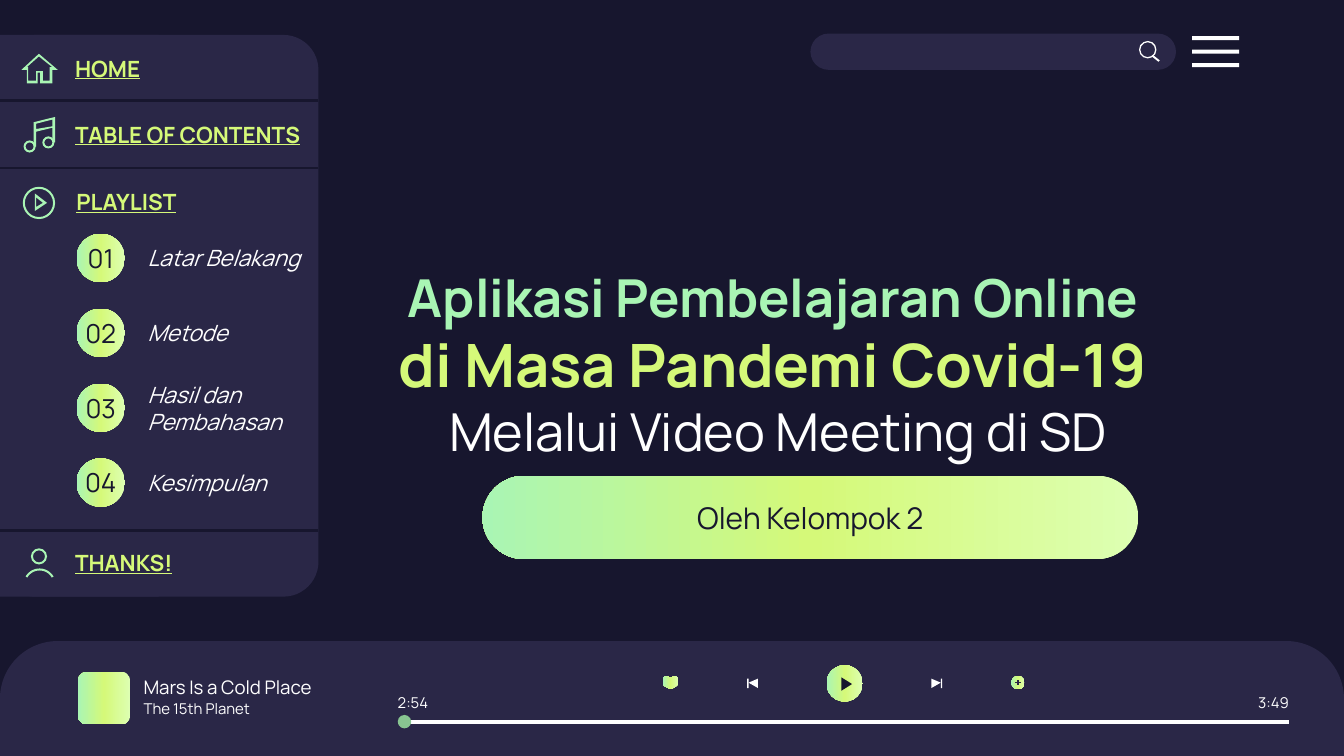
import copy
import math

import pptx
import pptx.dml.color
import pptx.enum.shapes
import pptx.enum.text
import pptx.oxml.ns
import pptx.util
from lxml import etree

Inches = pptx.util.Inches
Kind = pptx.enum.shapes.MSO_SHAPE
Align = pptx.enum.text.PP_ALIGN
Anchor = pptx.enum.text.MSO_ANCHOR
qn = pptx.oxml.ns.qn

COLORS = {
    "night": "17162E", "panel": "2A2747", "white": "FFFFFF", "mint": "A9F5B4",
    "lime": "D5F979", "pale": "DDFFB2", "knob": "88C591",
}
GLOW = ("pale", "lime", "mint")


def rgb(name):
    """Return the named colour."""
    return pptx.dml.color.RGBColor.from_string(COLORS[name])


def write(paragraph, text, size=12, color="white", bold=False, italic=False,
          underline=False):
    """Add a formatted run to a paragraph."""
    run = paragraph.add_run()
    run.text = text
    font = run.font
    font.name, font.size = "Manrope", pptx.util.Pt(size)
    font.bold, font.italic, font.underline = bold, italic, underline
    font.color.rgb = rgb(color)


def arc(cx, cy, rx, ry, start, end, steps=24):
    """Return points along an elliptical arc, angles in degrees."""
    angles = [math.radians(start + (end - start) * i / steps) for i in range(steps + 1)]
    return [(cx + rx * math.cos(a), cy + ry * math.sin(a)) for a in angles]


class Painter:
    """Holds the style and the current slide."""

    def __init__(self, slide):
        """Set the slide and its background."""
        self.slide = slide
        slide.background.fill.solid()
        slide.background.fill.fore_color.rgb = rgb("night")

    def paint(self, shape, fill):
        """Fill a shape with one colour or a three-stop gradient."""
        shape.shadow.inherit = False
        shape.line.fill.background()
        if isinstance(fill, str):
            shape.fill.solid()
            shape.fill.fore_color.rgb = rgb(fill)
            return shape
        shape.fill.gradient()
        shape.fill.gradient_angle = 180
        stop_list = next(shape._element.spPr.iter(qn("a:gsLst")))
        stop_list.append(copy.deepcopy(stop_list[0]))
        for i, (stop, name) in enumerate(zip(shape.fill.gradient_stops, fill)):
            stop.position = i / 2
            stop.color.rgb = rgb(name)
        return shape

    def shape(self, kind, left, top, width, height, fill, adjust=()):
        """Add a preset shape."""
        item = self.slide.shapes.add_shape(
            kind, Inches(left), Inches(top), Inches(width), Inches(height))
        for i, value in enumerate(adjust):
            item.adjustments[i] = value
        return self.paint(item, fill)

    def disc(self, cx, cy, size, fill):
        """Add a circle around a centre."""
        return self.shape(Kind.OVAL, cx - size / 2, cy - size / 2, size, size, fill)

    def ring(self, cx, cy, size, fill, thickness=0.015):
        """Add a ring around a centre."""
        self.shape(Kind.DONUT, cx - size / 2, cy - size / 2, size, size, fill,
                   [thickness / size])

    def outline(self, fill, *contours):
        """Add a filled outline; inner contours become holes."""
        paths = [[(Inches(x), Inches(y)) for x, y in points] for points in contours]
        builder = self.slide.shapes.build_freeform(*paths[0][0], scale=1.0)
        for i, points in enumerate(paths):
            if i:
                builder.move_to(*points[0])
            builder.add_line_segments(points[1:], close=True)
        self.paint(builder.convert_to_shape(), fill)

    def line(self, x1, y1, x2, y2, color, weight):
        """Add a straight line."""
        item = self.slide.shapes.add_connector(
            pptx.enum.shapes.MSO_CONNECTOR.STRAIGHT,
            Inches(x1), Inches(y1), Inches(x2), Inches(y2))
        item.line.color.rgb = rgb(color)
        item.line.width = pptx.util.Pt(weight)
        etree.SubElement(item._element.spPr, qn("a:effectLst"))

    def frame(self, shape, side=0.1, anchor=Anchor.MIDDLE, align=Align.LEFT):
        """Prepare a shape's text frame and return its first paragraph."""
        frame = shape.text_frame
        frame.word_wrap = True
        frame.auto_size = pptx.enum.text.MSO_AUTO_SIZE.NONE
        frame.vertical_anchor = anchor
        frame.margin_left = frame.margin_right = Inches(side)
        frame.margin_top = frame.margin_bottom = Inches(0.1)
        frame.paragraphs[0].alignment = align
        return frame.paragraphs[0]

    def label(self, text, left, top, width, height, side=0.1, align=Align.LEFT, **style):
        """Add a text box."""
        box = self.slide.shapes.add_textbox(
            Inches(left), Inches(top), Inches(width), Inches(height))
        write(self.frame(box, side, align=align), text, **style)

    def title(self, runs, left, top, width, height):
        """Place and fill the title placeholder."""
        title = self.slide.shapes.title
        title.left, title.top = Inches(left), Inches(top)
        title.width, title.height = Inches(width), Inches(height)
        paragraph = self.frame(title, anchor=Anchor.BOTTOM, align=Align.CENTER)
        paragraph.line_spacing = 1.0
        for text, style in runs:
            write(paragraph, text, **style)


def draw_top_bar(art):
    """Draw the search field and the menu bars."""
    art.shape(Kind.ROUNDED_RECTANGLE, 6.03, 0.25, 2.72, 0.27, "panel", [0.5])
    for i in range(3):
        art.shape(Kind.RECTANGLE, 8.87, 0.27 + 0.1 * i, 0.35, 0.03, "white")
    art.ring(8.54, 0.37, 0.13, "white", 0.01)
    art.outline("white", [(8.58, 0.41), (8.57, 0.42), (8.62, 0.46), (8.63, 0.45)])


def draw_sidebar(art):
    """Draw the navigation panel with its icons and links."""
    art.shape(Kind.RECTANGLE, 0, 0.26, 1.18, 4.18, "panel")
    art.shape(Kind.ROUNDED_RECTANGLE, 0, 0.26, 2.37, 4.18, "panel", [0.11])
    for y in (0.75, 1.25, 3.95):
        art.line(2.37, y, 0, y, "night", 1.5)
    links = [("HOME", 0.46, 0.33, 2.08), ("TABLE OF CONTENTS", 0.46, 0.82, 2.08),
             ("PLAYLIST", 0.47, 1.32, 1.3), ("THANKS!", 0.46, 4.01, 2.08)]
    for text, left, top, width in links:
        art.label(text, left, top, width, 0.36, color="lime", bold=True, underline=True)

    chapters = [("Latar Belakang", 1.37), ("Metode", 1.21),
                ("Hasil dan Pembahasan", 1.37), ("Kesimpulan", 1.21)]
    for i, (chapter, width) in enumerate(chapters):
        middle = 1.92 + 0.557 * i
        badge = art.disc(0.75, middle, 0.36, GLOW)
        write(art.frame(badge, 0, align=Align.CENTER), f"{i + 1:02}", size=14, color="night")
        art.label(chapter, 1, middle - 0.26, width, 0.52, italic=True)

    house = [(0.29, 0.4), (0.16, 0.52), (0.2, 0.52), (0.2, 0.62), (0.28, 0.62),
             (0.28, 0.54), (0.3, 0.54), (0.3, 0.62), (0.39, 0.62), (0.39, 0.52),
             (0.43, 0.52)]
    rooms = [(0.29, 0.42), (0.39, 0.5), (0.37, 0.5), (0.37, 0.6), (0.32, 0.6),
             (0.32, 0.53), (0.27, 0.53), (0.27, 0.6), (0.21, 0.6), (0.21, 0.5),
             (0.2, 0.5)]
    art.outline("mint", house, rooms)

    stems = [(0.41, 0.87), (0.25, 0.91), (0.25, 1.09), (0.27, 1.09), (0.27, 0.98),
             (0.39, 0.95), (0.39, 1.06), (0.41, 1.06)]
    art.outline("mint", stems, [(0.39, 0.89), (0.39, 0.94), (0.27, 0.96), (0.27, 0.92)])
    art.ring(0.22, 1.09, 0.09, "mint")
    art.ring(0.36, 1.06, 0.09, "mint")

    art.outline("mint", [(0.26, 1.44), (0.26, 1.57), (0.35, 1.51)],
                [(0.27, 1.47), (0.32, 1.51), (0.27, 1.54)])
    art.ring(0.29, 1.51, 0.24, "mint")

    art.ring(0.29, 4.14, 0.12, "mint")
    art.outline("mint", arc(0.295, 4.35, 0.12, 0.12, 210, 330)
                + arc(0.295, 4.35, 0.105, 0.105, 330, 210))


def draw_player(art):
    """Draw the music player along the bottom."""
    art.shape(Kind.ROUND_2_SAME_RECTANGLE, 0, 4.77, 10, 0.86, "panel", [0.5, 0])
    art.shape(Kind.ROUNDED_RECTANGLE, 0.58, 5, 0.39, 0.39, GLOW, [0.17])
    art.label("Mars Is a Cold Place", 0.97, 5.03, 1.91, 0.17, size=10)
    art.label("The 15th Planet", 0.97, 5.19, 1.15, 0.17, size=8)
    art.label("2:54", 2.96, 5.14, 0.27, 0.17, side=0, size=8)
    art.label("3:49", 9.32, 5.14, 0.27, 0.17, side=0, align=Align.RIGHT, size=8)

    art.outline(GLOW, arc(4.96, 5.07, 0.03, 0.04, 110, 310, 12)
                + arc(5.02, 5.07, 0.03, 0.04, 230, 430, 12) + [(4.99, 5.13)])
    art.disc(7.575, 5.08, 0.1, GLOW)
    art.line(7.575, 5.06, 7.575, 5.1, "panel", 0.75)
    art.line(7.555, 5.08, 7.595, 5.08, "panel", 0.75)
    art.disc(6.285, 5.085, 0.27, GLOW)
    art.outline("night", [(6.26, 5.04), (6.26, 5.14), (6.34, 5.09)])
    for bar, base, tip in ((5.56, 5.64, 5.57), (7, 6.93, 7)):
        art.shape(Kind.RECTANGLE, bar, 5.05, 0.01, 0.07, "white")
        art.outline("white", [(base, 5.05), (tip, 5.08), (base, 5.12)])

    art.line(2.96, 5.37, 9.59, 5.37, "white", 2.25)
    art.line(2.96, 5.37, 3.06, 5.37, "knob", 2.25)
    art.disc(3.01, 5.37, 0.1, "knob")


def main():
    """Build and save the slide."""
    deck = pptx.Presentation()
    deck.slide_width = Inches(10)
    deck.slide_height = deck.slide_width * 9 // 16
    art = Painter(deck.slides.add_slide(deck.slide_layouts[5]))
    draw_top_bar(art)
    draw_player(art)
    draw_sidebar(art)
    art.title([
        ("Aplikasi Pembelajaran Online ", dict(size=28, color="mint", bold=True)),
        ("di Masa Pandemi Covid-19 ", dict(size=32, color="lime", bold=True)),
        (" ", dict(size=28, color="lime", bold=True)),
        ("Melalui Video Meeting di SD", dict(size=28)),
    ], 2.84, 1.23, 5.82, 2.31)
    art.shape(Kind.ROUNDED_RECTANGLE, 3.59, 3.54, 4.88, 0.62, GLOW, [0.5])
    art.label("Oleh Kelompok 2", 3.71, 3.67, 4.64, 0.36, align=Align.CENTER,
              size=16, color="night")
    deck.save("out.pptx")


main()
